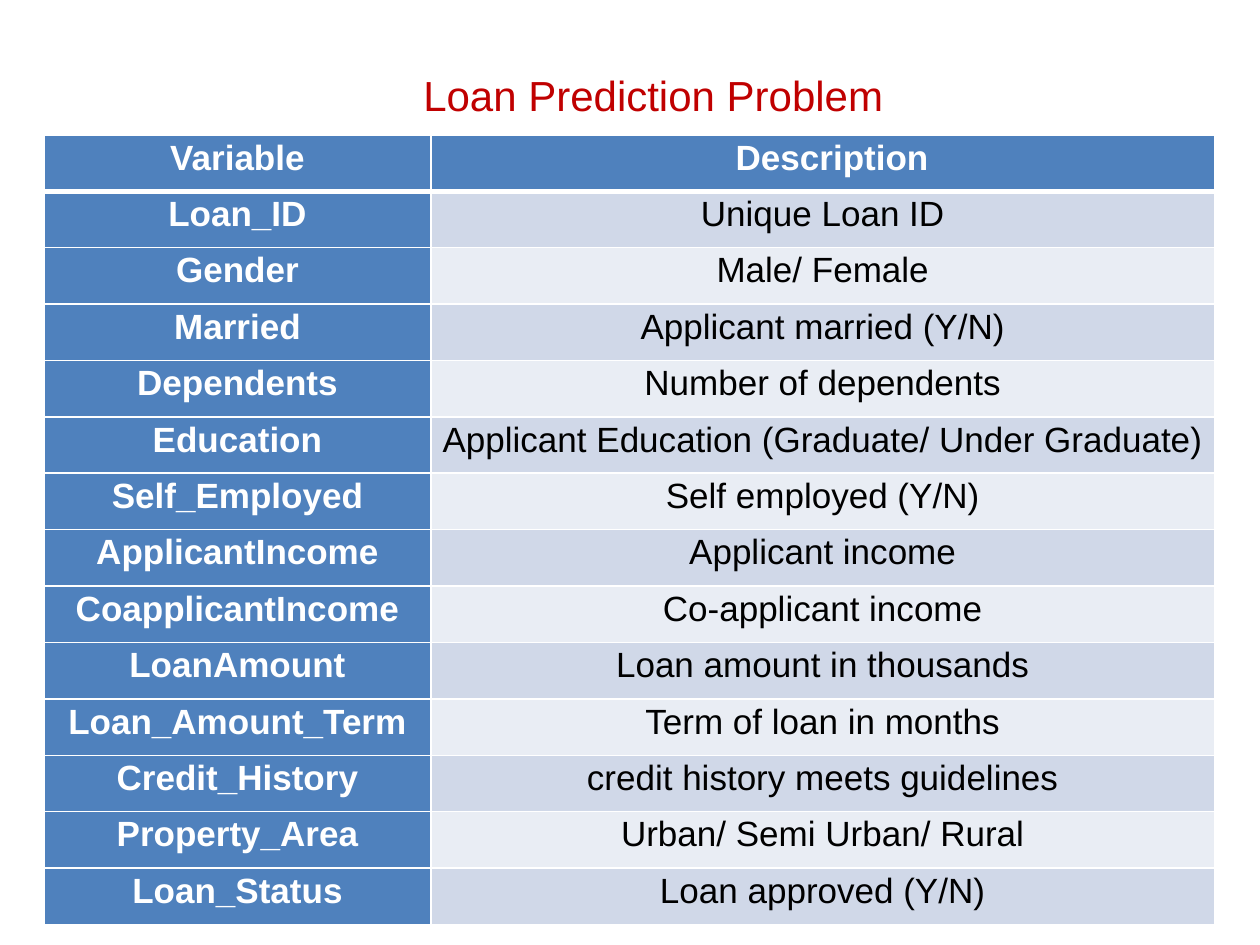
from lxml.etree import SubElement
from pptx import Presentation
from pptx.dml.color import RGBColor
from pptx.enum.text import MSO_ANCHOR as Anchor, PP_ALIGN as Align
from pptx.oxml.ns import qn
from pptx.util import Inches, Pt

TITLE = "Loan Prediction Problem"
ROWS = [
    ("Variable", "Description"),
    ("Loan_ID", "Unique Loan ID"),
    ("Gender", "Male/ Female"),
    ("Married", "Applicant married (Y/N)"),
    ("Dependents", "Number of dependents"),
    ("Education", "Applicant Education (Graduate/ Under Graduate)"),
    ("Self_Employed", "Self employed (Y/N)"),
    ("ApplicantIncome", "Applicant income"),
    ("CoapplicantIncome", "Co-applicant income"),
    ("LoanAmount", "Loan amount in thousands"),
    ("Loan_Amount_Term", "Term of loan in months"),
    ("Credit_History", "credit history meets guidelines"),
    ("Property_Area", "Urban/ Semi Urban/ Rural"),
    ("Loan_Status", "Loan approved (Y/N)"),
]
COLORS = {
    "title": "C00000", "head": "4F81BD", "dark_band": "D0D8E8",
    "light_band": "E9EDF4", "white": "FFFFFF", "black": "000000",
}
COLUMN_WIDTHS = (3.07, 6.22)
TABLE_LEFT, TABLE_TOP, TABLE_HEIGHT = 0.35, 1.07, 6.27
HEADER_INDENT = 0.15


def color(name):
    return RGBColor.from_string(COLORS[name])


def format_paragraph(para, size, color_name, bold=False):
    para.alignment = Align.CENTER
    for span in para.runs:
        span.font.name = "Arial"
        span.font.size = Pt(size)
        span.font.bold = bold
        span.font.color.rgb = color(color_name)


def add_borders(cell, bottom_width):
    properties = cell._tc.get_or_add_tcPr()
    widths = {"L": 1, "R": 1, "T": 1, "B": bottom_width}
    for position, (side, width) in enumerate(widths.items()):
        line = SubElement(properties, qn(f"a:ln{side}"), w=str(Pt(width)))
        fill = SubElement(line, qn("a:solidFill"))
        SubElement(fill, qn("a:srgbClr"), val=COLORS["white"])
        properties.insert(position, line)


def fill_cell(cell, text, row, column):
    is_head = row == 0 or column == 0
    band = "dark_band" if row % 2 else "light_band"
    cell.fill.solid()
    cell.fill.fore_color.rgb = color("head" if is_head else band)
    cell.vertical_anchor = Anchor.MIDDLE
    cell.margin_left = Inches(HEADER_INDENT if row == 0 and column else 0)
    cell.margin_right = cell.margin_top = cell.margin_bottom = 0
    cell.text_frame.text = text
    para = cell.text_frame.paragraphs[0]
    para.line_spacing = Pt(16.5)
    para.space_after = Pt(1.5)
    format_paragraph(para, 20, "white" if is_head else "black", is_head)
    add_borders(cell, 1 if row else 3)


deck = Presentation()
deck.slide_width, deck.slide_height = Inches(10), Inches(7.5)
page = deck.slides.add_slide(deck.slide_layouts[5])

title = page.shapes.title
title.left, title.top = Inches(1.06), Inches(0.13)
title.width, title.height = Inches(8.25), Inches(1.25)
title.text_frame.text = TITLE
title.text_frame.vertical_anchor = Anchor.MIDDLE
format_paragraph(title.text_frame.paragraphs[0], 24, "title")

table = page.shapes.add_table(
    len(ROWS), len(COLUMN_WIDTHS), Inches(TABLE_LEFT), Inches(TABLE_TOP),
    Inches(sum(COLUMN_WIDTHS)), Inches(TABLE_HEIGHT)).table
table.first_col = True
for column, width in zip(table.columns, COLUMN_WIDTHS):
    column.width = Inches(width)
for row, texts in enumerate(ROWS):
    for column, text in enumerate(texts):
        fill_cell(table.cell(row, column), text, row, column)

deck.save("out.pptx")
